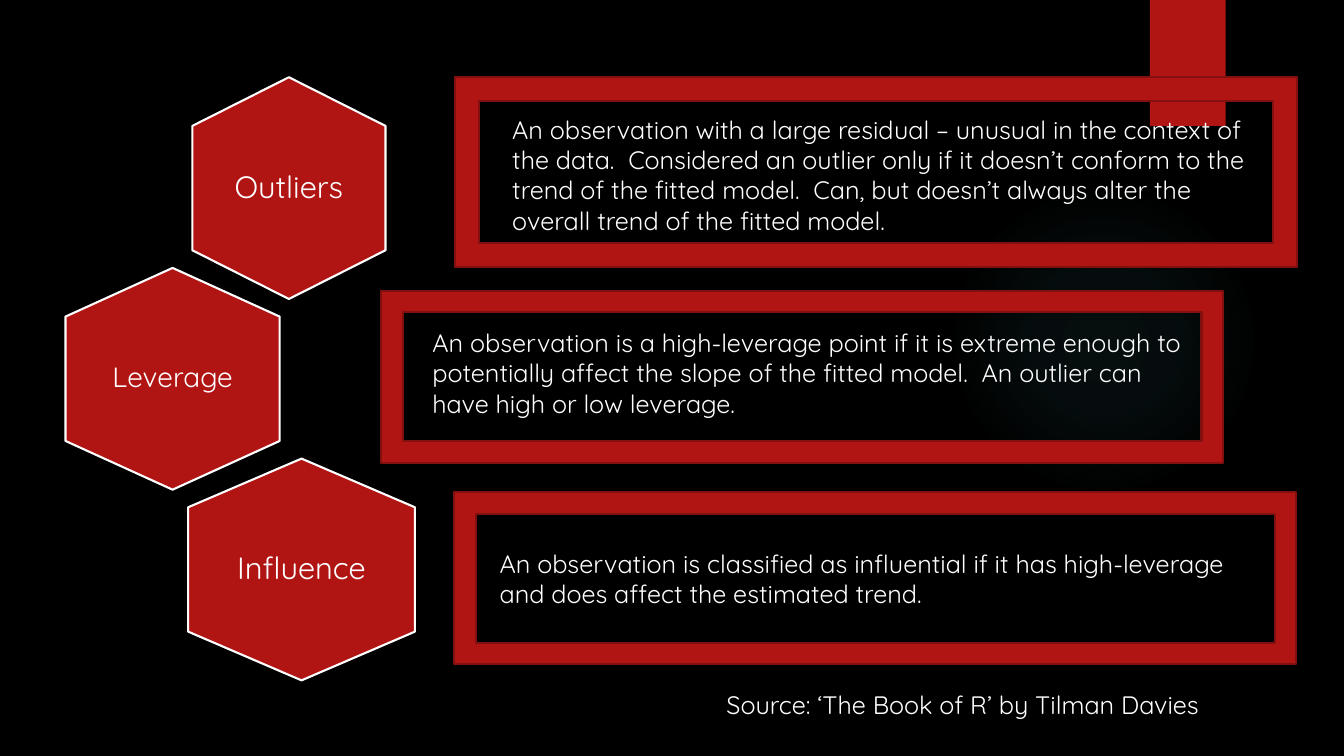
import pptx
import pptx.dml.color
import pptx.enum.shapes
import pptx.enum.text
import pptx.oxml
import pptx.oxml.ns
import pptx.util
from dataclasses import dataclass

COLS, ROWS = 16, 9
CELL = pptx.util.Inches(7.5) / ROWS
SHAPE = pptx.enum.shapes.MSO_SHAPE


@dataclass(frozen=True)
class Theme:
    background: str = "000000"
    red: str = "B01513"
    edge: str = "82100E"
    white: str = "FFFFFF"
    glow: str = "50B9C1"
    font: str = "Quicksand"
    body: int = 18
    outline: float = 1.5


THEME = Theme()

# term, type size, hexagon (left, width), frame (left, top, height),
# text (left, top, height), definition
CONCEPTS = [
    ("Outliers", 22, (2.29, 2.3), (5.42, 0.92, 2.26), (5.98, 1.3, 1.21),
     "An observation with a large residual – unusual in the context of the data.  "
     "Considered an outlier only if it doesn’t conform to the trend of the fitted "
     "model.  Can, but doesn’t always alter the overall trend of the fitted model."),
    ("Leverage", 20, (0.78, 2.55), (4.54, 3.46, 2.05), (5.03, 3.84, 1.21),
     "An observation is a high-leverage point if it is extreme enough to "
     "potentially affect the slope of the fitted model.  An outlier can have "
     "high or low leverage."),
    ("Influence", 22, (2.24, 2.7), (5.41, 5.86, 2.05), (5.83, 6.47, 0.85),
     "An observation is classified as influential if it has high-leverage and "
     "does affect the estimated trend."),
]
HEX_TOP, HEX_STEP, HEX_HEIGHT, HEX_SHOULDER = 0.92, 2.27, 2.64, 0.58
FRAME_WIDTH, TEXT_WIDTH = 10.02, 9.22


def grid(*cells):
    return [round(c * CELL) for c in cells]


def rgb(color):
    return pptx.dml.color.RGBColor.from_string(color)


def paint(sp, fill, line=None):
    sp.shadow.inherit = False
    sp.fill.solid()
    sp.fill.fore_color.rgb = rgb(fill)
    if line:
        sp.line.color.rgb = rgb(line)
        sp.line.width = pptx.util.Pt(THEME.outline)
    else:
        sp.line.fill.background()


def write(tf, text, size):
    tf.word_wrap = True
    tf.text = text
    font = tf.paragraphs[0].runs[0].font
    font.name, font.size = THEME.font, pptx.util.Pt(size)
    font.color.rgb = rgb(THEME.white)


def add_block(s, kind, box, line=None):
    sp = s.shapes.add_shape(kind, *grid(*box))
    paint(sp, THEME.red, line)
    return sp


def add_glow(s, box):
    """Add a circle that fades from a faint centre to nothing."""
    sp = add_block(s, SHAPE.OVAL, box)
    stops = "".join(
        f'<a:gs pos="{pos}000"><a:srgbClr val="{THEME.glow}">'
        f'<a:alpha val="{alpha}000"/></a:srgbClr></a:gs>'
        for pos, alpha in ((0, 7), (36, 6), (69, 0)))
    grad = pptx.oxml.parse_xml(
        f'<a:gradFill {pptx.oxml.ns.nsdecls("a")}><a:gsLst>{stops}</a:gsLst>'
        '<a:path path="circle"><a:fillToRect l="50000" t="50000" r="50000" '
        'b="50000"/></a:path></a:gradFill>')
    solid = sp.fill._xPr.find(pptx.oxml.ns.qn("a:solidFill"))
    solid.getparent().replace(solid, grad)


def add_hexagon(s, left, top, width, term, size):
    middle, right = left + width / 2, left + width
    upper, bottom = top + HEX_SHOULDER, top + HEX_HEIGHT
    lower = bottom - HEX_SHOULDER
    corners = [(right, upper), (right, lower), (middle, bottom),
               (left, lower), (left, upper)]
    outline = s.shapes.build_freeform(*grid(middle, top))
    outline.add_line_segments([grid(*c) for c in corners], close=True)
    sp = outline.convert_to_shape()
    paint(sp, THEME.red, THEME.white)
    tf = sp.text_frame
    write(tf, term, size)
    tf.vertical_anchor = pptx.enum.text.MSO_ANCHOR.MIDDLE
    tf.margin_left = tf.margin_right = pptx.util.Inches(0.39)
    tf.margin_top = tf.margin_bottom = pptx.util.Inches(0.43)
    p = tf.paragraphs[0]
    p.alignment = pptx.enum.text.PP_ALIGN.CENTER
    p.line_spacing = 0.9


def add_text(s, box, text):
    tf = s.shapes.add_textbox(*grid(*box)).text_frame
    write(tf, text, THEME.body)
    tf.auto_size = pptx.enum.text.MSO_AUTO_SIZE.SHAPE_TO_FIT_TEXT


def main():
    prs = pptx.Presentation()
    prs.slide_width, prs.slide_height = grid(COLS, ROWS)
    s = prs.slides.add_slide(prs.slide_layouts[6])
    s.background.fill.solid()
    s.background.fill.fore_color.rgb = rgb(THEME.background)

    add_glow(s, (11.29, 2.2, 3.7, 3.7))
    add_block(s, SHAPE.RECTANGLE, (13.69, 0, 0.9, 1.5))
    for i, (term, size, (hex_left, hex_width), frame, text, definition) in enumerate(CONCEPTS):
        add_hexagon(s, hex_left, HEX_TOP + i * HEX_STEP, hex_width, term, size)
        left, top, height = frame
        add_block(s, SHAPE.FRAME, (left, top, FRAME_WIDTH, height), THEME.edge)
        left, top, height = text
        add_text(s, (left, top, TEXT_WIDTH, height), definition)
    add_text(s, (8.53, 8.15, 7.2, 0.48), "Source: ‘The Book of R’ by Tilman Davies")
    prs.save("out.pptx")


if __name__ == "__main__":
    main()
